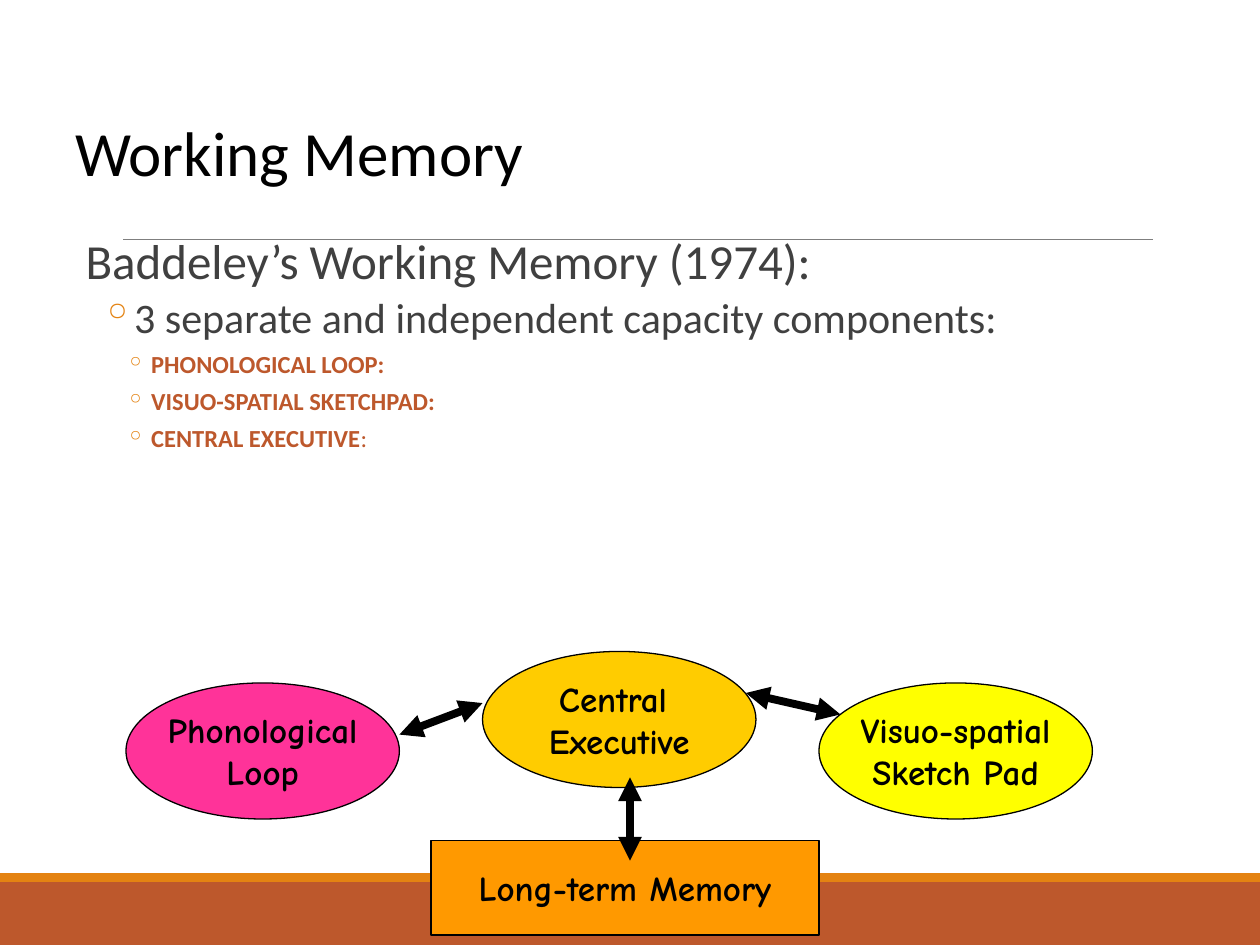
from pptx import Presentation
from pptx.util import Inches, Pt
from pptx.dml.color import RGBColor
from pptx.enum.shapes import MSO_SHAPE as Shape, MSO_CONNECTOR as Line
from pptx.enum.text import PP_ALIGN as Align, MSO_ANCHOR as Anchor
from pptx.oxml.ns import qn
from lxml.etree import SubElement as Sub

TITLE = "Working Memory"
RUST, ORANGE, GREY, BLACK = "BD582C", "E48312", "404040", "000000"
BODY = [
    (0, [("Baddeley’s Working Memory (1974):", False)]),
    (1, [("3 separate and independent capacity components:", False)]),
    (2, [("PHONOLOGICAL LOOP:", True)]),
    (2, [("VISUO-SPATIAL SKETCHPAD:", True)]),
    (2, [("CENTRAL EXECUTIVE", True), (":", False)]),
]
LEVELS = [
    dict(size=28, color=GREY, left=0.1, hang=0, before=0, after=2),
    dict(size=24, color=GREY, left=0.42, hang=0.2, before=2, after=4),
    dict(size=14, color=RUST, left=0.62, hang=0.2, before=2, after=4),
]
BANDS = [(7, 0.5, RUST), (6.93, 0.07, ORANGE)]
OVAL = (2.17, 1.08)
NODES = [
    (Shape.RECTANGLE, 3.42, 6.67, (3.08, 0.75), "FF9900", ["Long-term Memory"]),
    (Shape.OVAL, 1, 5.42, OVAL, "FF3399", ["Phonological", "Loop"]),
    (Shape.OVAL, 3.83, 5.17, OVAL, "FFCC00", ["Central ", "Executive"]),
    (Shape.OVAL, 6.5, 5.42, OVAL, "FFFF00", ["Visuo-spatial", "Sketch Pad"]),
]
ARROWS = [(3.17, 5.83, 3.83, 5.58), (6.67, 5.67, 5.92, 5.5), (5, 6.17, 5, 6.83)]

deck = Presentation()
deck.slide_width, deck.slide_height = Inches(10), Inches(7.5)
slide = deck.slides.add_slide(deck.slide_layouts[6])
shapes = slide.shapes


def rgb(code):
    return RGBColor.from_string(code)


def style(font, name, size, color, bold=None):
    font.name, font.size, font.bold = name, Pt(size), bold
    font.color.rgb = rgb(color)


def add_form(kind, box, fill):
    form = shapes.add_shape(kind, *map(Inches, box))
    form.shadow.inherit = False
    form.fill.solid()
    form.fill.fore_color.rgb = rgb(fill)
    form.line.fill.background()
    return form


def add_line(ends, color, width, arrows=False):
    line = shapes.add_connector(Line.STRAIGHT, *map(Inches, ends))
    line.line.color.rgb = rgb(color)
    line.line.width = Pt(width)
    props = line._element.spPr
    if arrows:
        stroke = props.find(qn("a:ln"))
        for end in ("a:headEnd", "a:tailEnd"):
            Sub(stroke, qn(end), type="triangle")
    Sub(props, qn("a:effectLst"))


def add_text(box):
    frame = shapes.add_textbox(*map(Inches, box)).text_frame
    frame.word_wrap = True
    return frame


def add_node(kind, left, top, size, fill, lines):
    node = add_form(kind, (left, top, *size), fill)
    node.line.color.rgb = rgb(BLACK)
    node.line.width = Pt(0.75)
    frame = node.text_frame
    frame.word_wrap = False
    frame.vertical_anchor = Anchor.MIDDLE
    frame.text = "\n".join(lines)
    for para in frame.paragraphs:
        para.alignment = Align.CENTER
        style(para.font, "Comic Neue", 20, BLACK, True)


def add_item(para, depth, runs):
    level = LEVELS[depth]
    props = para._p.get_or_add_pPr()
    props.set("marL", str(Inches(level["left"])))
    props.set("indent", str(-Inches(level["hang"])))
    if depth:
        para.level = depth
        Sub(Sub(props, qn("a:buClr")), qn("a:srgbClr"), val=ORANGE)
        Sub(props, qn("a:buChar"), char="◦")
    para.line_spacing = 0.9
    para.space_before = Pt(level["before"])
    para.space_after = Pt(level["after"])
    style(para.font, "Calibri", level["size"], level["color"])
    for text, bold in runs:
        run = para.add_run()
        run.text = text
        run.font.bold = bold


for top, height, color in BANDS:
    add_form(Shape.RECTANGLE, (0, top, 10, height), color)
add_line((0.98, 1.9, 9.15, 1.9), "7F7F7F", 0.5)

head = add_text((0.5, 0.3, 9, 1.25))
head.vertical_anchor = Anchor.BOTTOM
head.text = TITLE
head.paragraphs[0].line_spacing = 0.85
style(head.paragraphs[0].font, "Calibri", 36, BLACK)

body = add_text((0.58, 1.83, 8.83, 5.67))
body.margin_left = body.margin_right = 0
for spot, (depth, runs) in enumerate(BODY):
    para = body.add_paragraph() if spot else body.paragraphs[0]
    add_item(para, depth, runs)

for node in NODES:
    add_node(*node)
for ends in ARROWS:
    add_line(ends, BLACK, 4.5, True)

deck.save("out.pptx")
